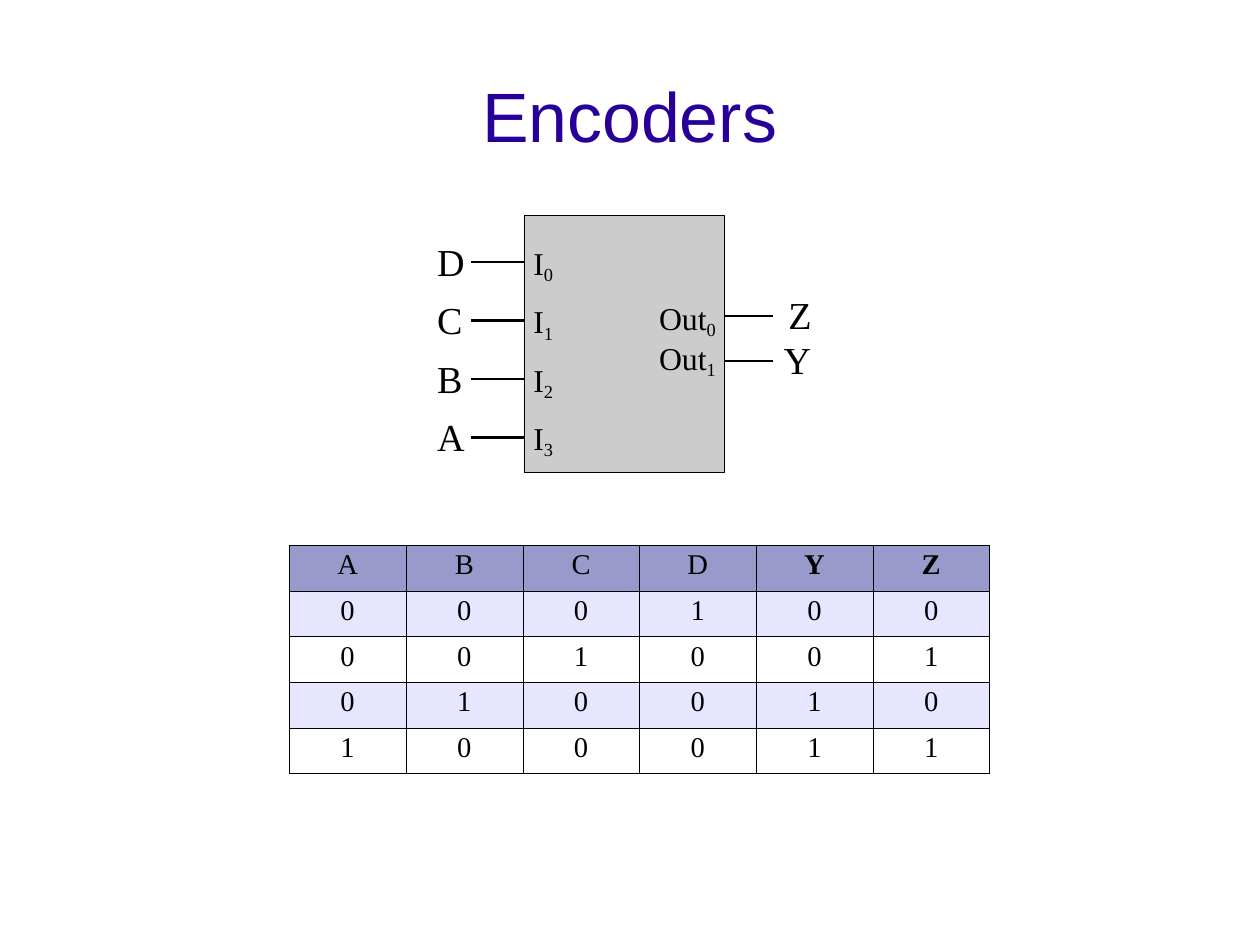
import pptx
import pptx.util
import pptx.dml.color
import pptx.enum.shapes
import pptx.enum.text
import pptx.oxml
import pptx.oxml.ns

TITLE = "Encoders"
INPUTS = [("D", 31.7), ("C", 30.2), ("B", 30.2), ("A", 31.7)]
OUTPUTS = [("Z", 489.6, 28.8), ("Y", 486.7, 31.7)]
TRUTH_TABLE = [
    "ABCDYZ",
    "000100",
    "001001",
    "010010",
    "100011",
]
RESULT_COLUMNS = "YZ"
COLORS = {
    "title": "280099",
    "ink": "000000",
    "block": "CCCCCC",
    "header": "9999CC",
    "band": "E6E6FF",
    "plain": "FFFFFF",
}
SERIF = "Times New Roman"
Pt = pptx.util.Pt
ALIGN = pptx.enum.text.PP_ALIGN
ANCHOR = pptx.enum.text.MSO_ANCHOR

SLIDE_WIDTH, SLIDE_HEIGHT = 793.75, 595.25
BLOCK = (330.5, 135.5, 126, 162)
INPUT_Y, INPUT_STEP = 165.1, 36.8
OUTPUT_Y, OUTPUT_STEP = 199.2, 28.2
OUT_PIN_STEP = 25.2
WIRE_LENGTH = 54
TABLE_LEFT, TABLE_TOP = 182.2, 343.4
COLUMN_WIDTH, ROW_HEIGHT = 73.55, 28.75


def rgb(name):
    return pptx.dml.color.RGBColor.from_string(COLORS[name])


def format_run(r, size, font, color="ink", bold=False):
    r.font.size = Pt(size)
    r.font.name = font
    r.font.bold = bold
    r.font.color.rgb = rgb(color)


def add_wire(slide, x, y):
    c = slide.shapes.add_connector(
        pptx.enum.shapes.MSO_CONNECTOR.STRAIGHT,
        Pt(x), Pt(y), Pt(x + WIRE_LENGTH), Pt(y))
    c.line.color.rgb = rgb("ink")
    c.line.width = Pt(1.45)
    c._element.spPr.append(pptx.oxml.parse_xml(
        "<a:effectLst %s/>" % pptx.oxml.ns.nsdecls("a")))


def add_label(slide, x, y, width, height, size, text, subscript=""):
    sp = slide.shapes.add_textbox(Pt(x), Pt(y), Pt(width), Pt(height))
    tf = sp.text_frame
    tf.word_wrap = False
    tf.margin_left = tf.margin_right = Pt(7)
    tf.margin_top = Pt(size / 5)
    tf.margin_bottom = Pt(3.6)
    p = tf.paragraphs[0]
    p.line_spacing = 0.95
    for part in filter(None, (text, subscript)):
        r = p.add_run()
        r.text = part
        format_run(r, size, SERIF)
    if subscript:
        r._r.get_or_add_rPr().set("baseline", "-20000")


def add_encoder(slide):
    input_ys = [INPUT_Y + i * INPUT_STEP for i in range(len(INPUTS))]
    output_ys = [OUTPUT_Y + i * OUTPUT_STEP for i in range(len(OUTPUTS))]
    for y in input_ys:
        add_wire(slide, 296.8, y)
    for y in output_ys:
        add_wire(slide, 432.8, y)

    sp = slide.shapes.add_shape(
        pptx.enum.shapes.MSO_SHAPE.RECTANGLE, *map(Pt, BLOCK))
    sp.shadow.inherit = False
    sp.fill.solid()
    sp.fill.fore_color.rgb = rgb("block")
    sp.line.color.rgb = rgb("ink")
    sp.line.width = Pt(0.75)

    for i, ((name, width), y) in enumerate(zip(INPUTS, input_ys)):
        add_label(slide, 268.4, y - 17.6, width, 33.8, 24, name)
        add_label(slide, 329, y - 15.6, 28, 31.7, 20, "I", str(i))
    for i, ((name, x, width), y) in enumerate(zip(OUTPUTS, output_ys)):
        add_label(slide, x, y - 18.2, width, 33.8, 24, name)
        add_label(slide, 408.2, OUTPUT_Y - 15.2 + i * OUT_PIN_STEP,
                  50.4, 31.7, 20, "Out", str(i))


def add_borders(cell):
    tc_pr = cell._tc.get_or_add_tcPr()
    for side in "LRTB":
        tc_pr.append(pptx.oxml.parse_xml(
            '<a:ln%s %s w="762"><a:solidFill><a:srgbClr val="%s"/>'
            "</a:solidFill></a:ln%s>"
            % (side, pptx.oxml.ns.nsdecls("a"), COLORS["ink"], side)))


def add_truth_table(slide):
    rows, cols = len(TRUTH_TABLE), len(TRUTH_TABLE[0])
    table = slide.shapes.add_table(
        rows, cols, Pt(TABLE_LEFT), Pt(TABLE_TOP),
        Pt(cols * COLUMN_WIDTH), Pt(rows * ROW_HEIGHT)).table
    table.first_row = table.horz_banding = False
    for i, values in enumerate(TRUTH_TABLE):
        fill = "header" if i == 0 else "band" if i % 2 else "plain"
        for j, value in enumerate(values):
            cell = table.cell(i, j)
            add_borders(cell)
            cell.fill.solid()
            cell.fill.fore_color.rgb = rgb(fill)
            cell.text_frame.text = value
            p = cell.text_frame.paragraphs[0]
            p.alignment = ALIGN.CENTER
            p.line_spacing = 0.95
            format_run(p.runs[0], 18, SERIF, bold=value in RESULT_COLUMNS)


def add_title(slide):
    sp = slide.shapes.title
    sp.left, sp.top, sp.width, sp.height = map(Pt, (39.6, 27.4, 714.2, 92.2))
    tf = sp.text_frame
    tf.text = TITLE
    tf.auto_size = pptx.enum.text.MSO_AUTO_SIZE.NONE
    tf.vertical_anchor = ANCHOR.MIDDLE
    tf.margin_left = tf.margin_right = tf.margin_bottom = 0
    tf.margin_top = Pt(2.9)
    p = tf.paragraphs[0]
    p.alignment = ALIGN.CENTER
    p.line_spacing = 0.93
    format_run(p.runs[0], 44, "Arial", "title")


def main():
    prs = pptx.Presentation()
    prs.slide_width, prs.slide_height = Pt(SLIDE_WIDTH), Pt(SLIDE_HEIGHT)
    slide = prs.slides.add_slide(prs.slide_layouts[5])
    add_title(slide)
    add_truth_table(slide)
    add_encoder(slide)
    prs.save("out.pptx")


if __name__ == "__main__":
    main()
